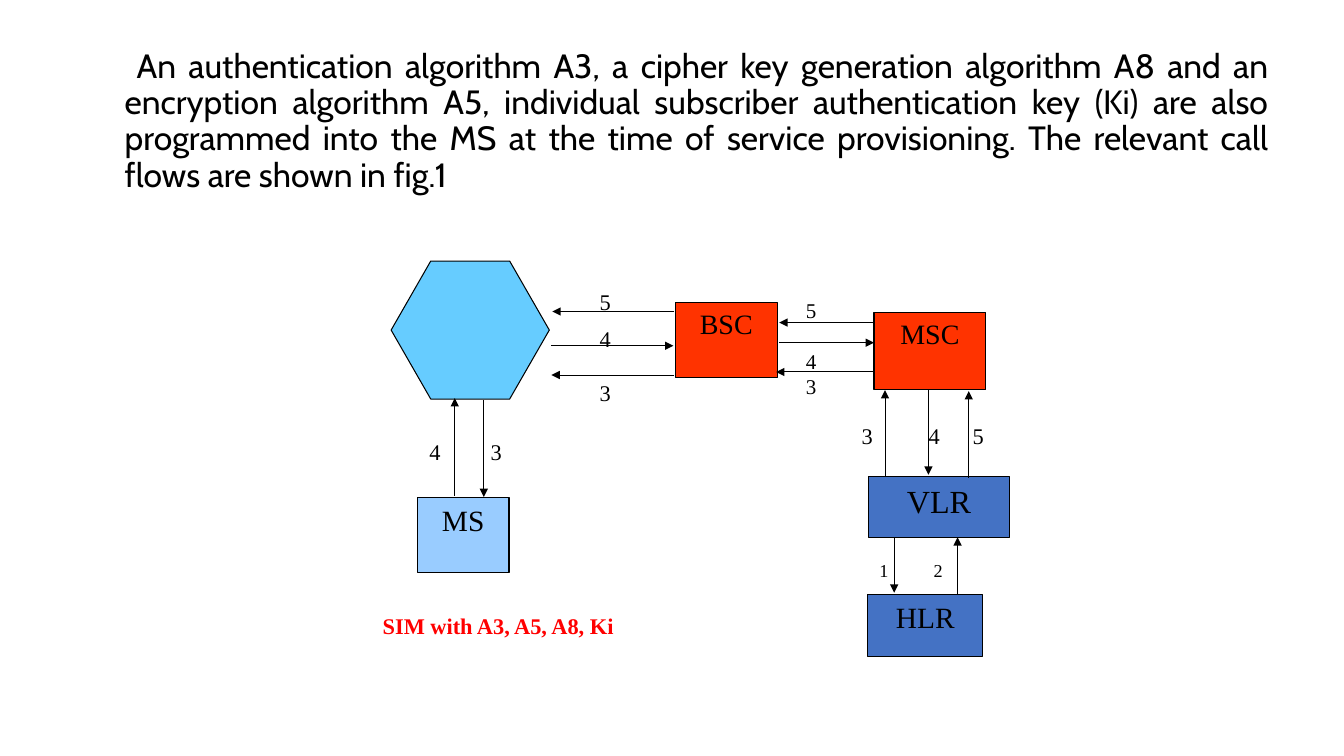
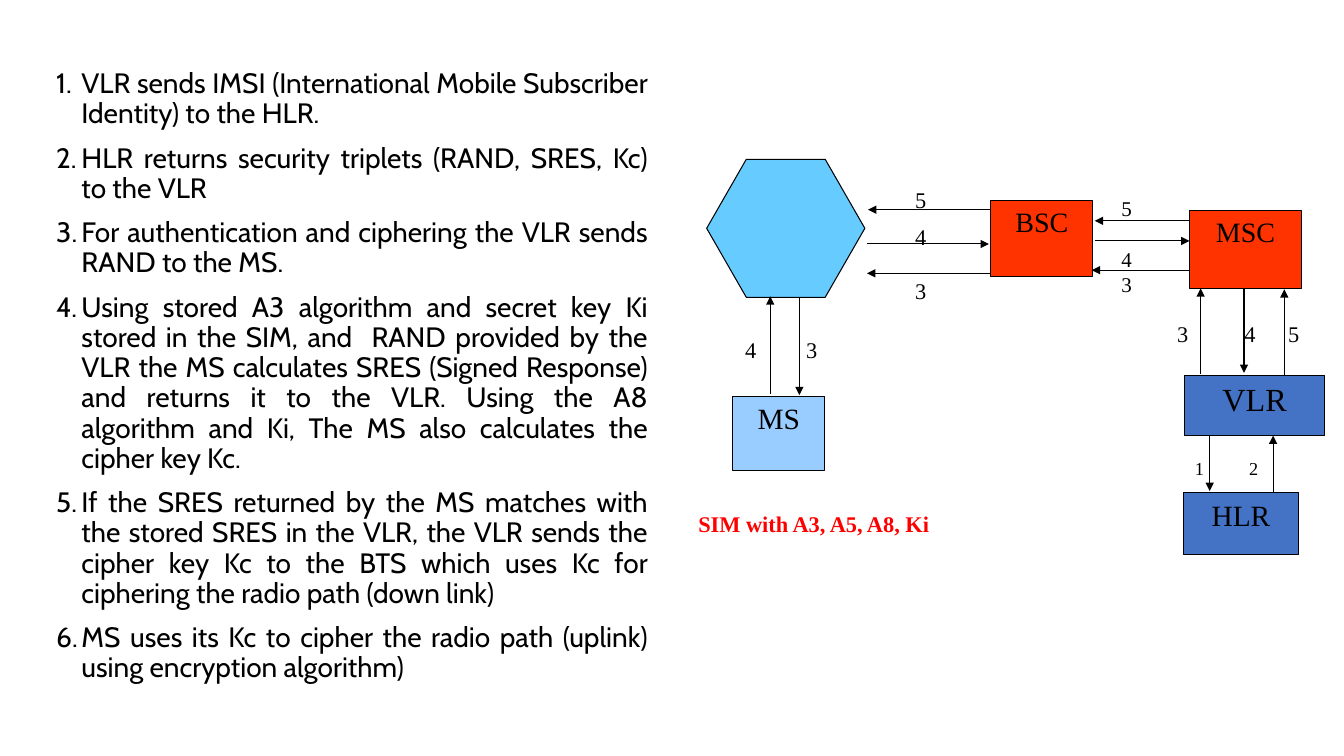
from lxml import etree
from pptx import Presentation
from pptx.dml.color import RGBColor
from pptx.enum import shapes, text
from pptx.oxml.ns import qn
from pptx.util import Pt

BLACK, RED = "000000", "FF0000"
SKY, PALE, ORANGE, BLUE = "66CCFF", "99CCFF", "FF3300", "4472C4"
BODY_FONT, DIAGRAM_FONT = "Cabin", "Times New Roman"
HANGING = 18

INTRO = ("An authentication algorithm A3, a cipher key generation algorithm A8 and an "
         "encryption algorithm A5, individual subscriber authentication key (Ki) are also "
         "programmed into the MS at the time of service provisioning. The relevant call "
         "flows are shown in fig.1")
STEPS = [
    "VLR sends IMSI (International Mobile Subscriber Identity) to the HLR.",
    "HLR returns security triplets (RAND, SRES, Kc) to the VLR",
    "For authentication and ciphering the VLR sends RAND to the MS.",
    "Using stored A3 algorithm and secret key Ki stored in the SIM, and  RAND provided by "
    "the VLR the MS calculates SRES (Signed Response) and returns it to the VLR. Using the "
    "A8 algorithm and Ki, The MS also calculates the cipher key Kc.",
    "If the SRES returned by the MS matches with the stored SRES in the VLR, the VLR sends "
    "the cipher key Kc to the BTS which uses Kc for ciphering the radio path (down link)",
    "MS uses its Kc to cipher the radio path (uplink) using encryption algorithm)",
]

# Diagram geometry, relative to the top left of the hexagon
CELL = (0, 0, 113, 98.6)
NODES = [  # label, size, fill, left, top, width, height
    ("BSC", 20, ORANGE, 203, 29.5, 72.7, 54),
    ("MSC", 20, ORANGE, 344.9, 36.7, 79.9, 55.4),
    ("MS", 21, PALE, 18.7, 169.2, 65.5, 53.3),
    ("VLR", 23, BLUE, 341.3, 154.1, 100.1, 43.2),
    ("HLR", 21, BLUE, 340.6, 238.3, 82.1, 43.9),
]
HORIZONTAL_ARROWS = [  # y, from x, to x
    (36, 202.3, 115.2), (60.5, 114.5, 201.6), (81.4, 202.3, 114.5),
    (43.9, 344.9, 277.2), (58.3, 277.2, 344.9), (79.2, 344.2, 275),
]
VERTICAL_ARROWS = [  # x, from y, to y
    (352.8, 153.4, 92.2), (383.8, 92.2, 152.6), (412.6, 154.8, 92.9),
    (359.3, 198, 236.9), (404.6, 238.3, 197.3),
    (45.4, 167.8, 97.9), (66.2, 99.4, 168.5),
]
STEP_LABELS = [  # size, then (digit, centre x, centre y)
    (16, [("5", 153, 28.6), ("4", 153, 55), ("3", 153, 93.6)]),
    (15, [("5", 300, 35), ("4", 300, 71.4), ("3", 300, 89.3)]),
    (16, [("3", 340, 124.3), ("4", 388, 124.3), ("5", 419.3, 124.3)]),
    (13, [("1", 352, 220.7), ("2", 390.7, 220.7)]),
    (16, [("4", 31.4, 135.7), ("3", 75, 135.7)]),
]
SIM_NOTE = "SIM with A3, A5, A8, Ki"


def color(value):
    return RGBColor.from_string(value)


def format_text(paragraph, size, font=DIAGRAM_FONT, fill=BLACK, bold=False):
    paragraph.font.size = Pt(size)
    paragraph.font.name = font
    paragraph.font.bold = bold
    paragraph.font.color.rgb = color(fill)


def add_body(slide, paragraphs, size, box, numbered=False):
    frame = slide.shapes.add_textbox(*map(Pt, box)).text_frame
    frame.word_wrap = True
    for index, words in enumerate(paragraphs):
        paragraph = frame.add_paragraph() if index else frame.paragraphs[0]
        paragraph.text = words
        properties = paragraph._p.get_or_add_pPr()
        properties.set("marL", str(Pt(HANGING)))
        properties.set("indent", str(Pt(-HANGING if numbered else 8.5)))
        if numbered:
            etree.SubElement(properties, qn("a:buAutoNum"), type="arabicPeriod")
        paragraph.alignment = text.PP_ALIGN.JUSTIFY
        paragraph.line_spacing = 0.9
        paragraph.space_before = Pt(10 if index else 0)
        format_text(paragraph, size, BODY_FONT)


def add_node(slide, kind, fill, left, top, width, height):
    shape = slide.shapes.add_shape(kind, Pt(left), Pt(top), Pt(width), Pt(height))
    shape.shadow.inherit = False
    shape.fill.solid()
    shape.fill.fore_color.rgb = color(fill)
    shape.line.color.rgb = color(BLACK)
    shape.line.width = Pt(0.75)
    return shape


def add_arrow(slide, *ends):
    arrow = slide.shapes.add_connector(shapes.MSO_CONNECTOR.STRAIGHT, *map(Pt, ends))
    arrow.line.color.rgb = color(BLACK)
    arrow.line.width = Pt(0.75)
    etree.SubElement(arrow.line._get_or_add_ln(), qn("a:tailEnd"), type="triangle")
    etree.SubElement(arrow._element.spPr, qn("a:effectLst"))


def add_label(slide, words, left, middle, width, size, align, **style):
    """Add one line of text centred vertically on middle."""
    height = size * 1.25
    box = slide.shapes.add_textbox(Pt(left), Pt(middle - height / 2), Pt(width), Pt(height))
    frame = box.text_frame
    frame.margin_left = frame.margin_right = frame.margin_top = frame.margin_bottom = 0
    frame.vertical_anchor = text.MSO_ANCHOR.MIDDLE
    frame.word_wrap = True
    frame.text = words
    frame.paragraphs[0].alignment = align
    format_text(frame.paragraphs[0], size, **style)


def add_call_flow(slide, x, y):
    """Draw the network diagram with its hexagon at x, y."""
    left, top, width, height = CELL
    cell = add_node(slide, shapes.MSO_SHAPE.HEXAGON, SKY, x + left, y + top, width, height)
    cell.adjustments[0] = 0.287
    for label, size, fill, left, top, width, height in NODES:
        node = add_node(slide, shapes.MSO_SHAPE.RECTANGLE, fill, x + left, y + top, width, height)
        frame = node.text_frame
        frame.margin_left = frame.margin_right = Pt(6)
        frame.margin_top = frame.margin_bottom = Pt(3)
        frame.vertical_anchor = text.MSO_ANCHOR.TOP
        frame.text = label
        frame.paragraphs[0].alignment = text.PP_ALIGN.CENTER
        format_text(frame.paragraphs[0], size)
    for level, start, end in HORIZONTAL_ARROWS:
        add_arrow(slide, x + start, y + level, x + end, y + level)
    for column, start, end in VERTICAL_ARROWS:
        add_arrow(slide, x + column, y + start, x + column, y + end)
    for size, digits in STEP_LABELS:
        for digit, center, middle in digits:
            add_label(slide, digit, x + center - 8, y + middle, 16, size, text.PP_ALIGN.CENTER)
    add_label(slide, SIM_NOTE, x - 6, y + 260, 180, 16, text.PP_ALIGN.LEFT, fill=RED, bold=True)


def main():
    presentation = Presentation()
    presentation.slide_width, presentation.slide_height = Pt(960), Pt(540)
    blank = presentation.slide_layouts[6]

    overview = presentation.slides.add_slide(blank)
    add_body(overview, [INTRO], 24, (64, 31.7, 849, 309.6))
    add_call_flow(overview, 279.4, 186.5)

    procedure = presentation.slides.add_slide(blank)
    add_body(procedure, STEPS, 20, (33.1, 46.1, 437, 465.8), numbered=True)
    add_call_flow(procedure, 504.8, 113.8)

    presentation.save("out.pptx")


if __name__ == "__main__":
    main()
